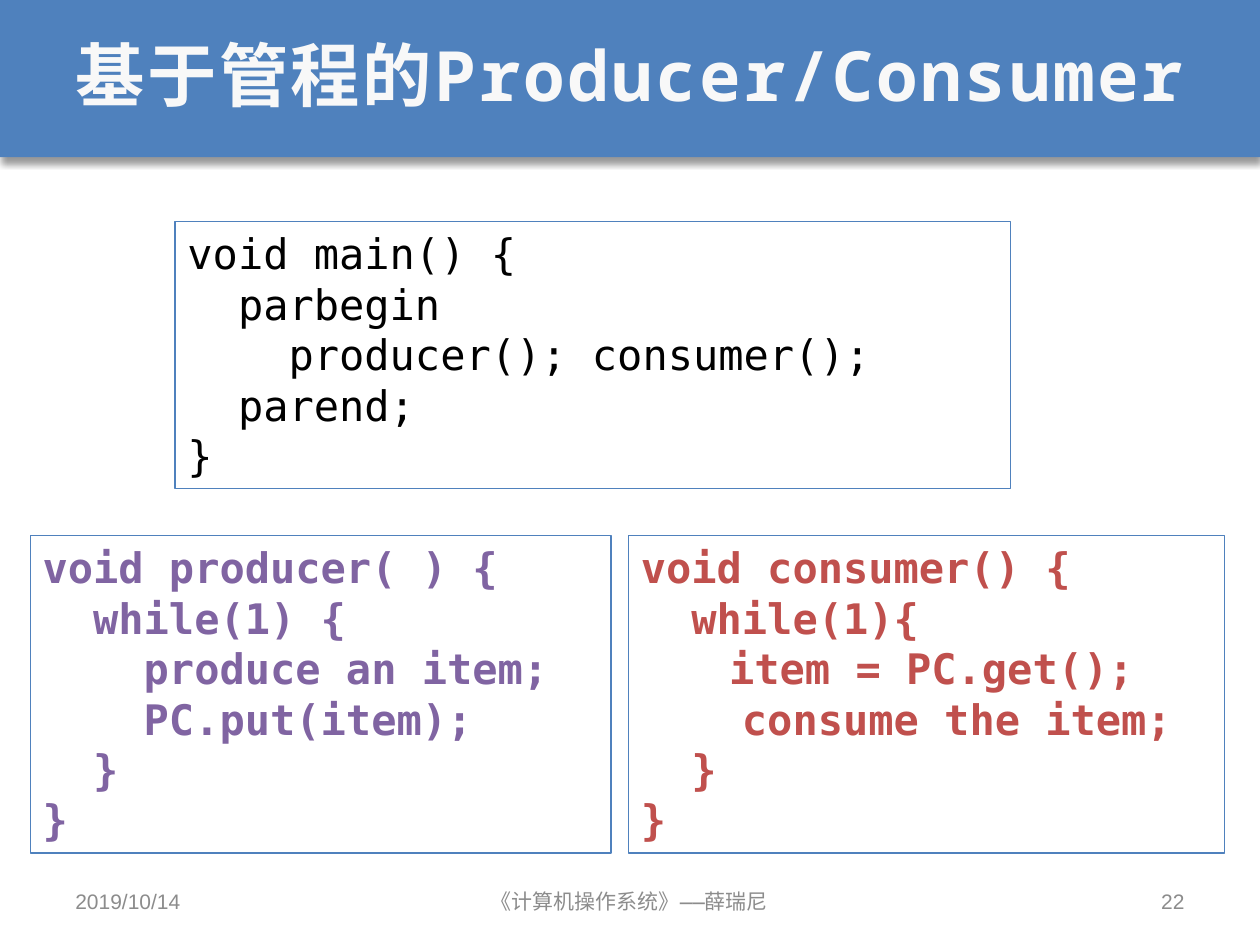
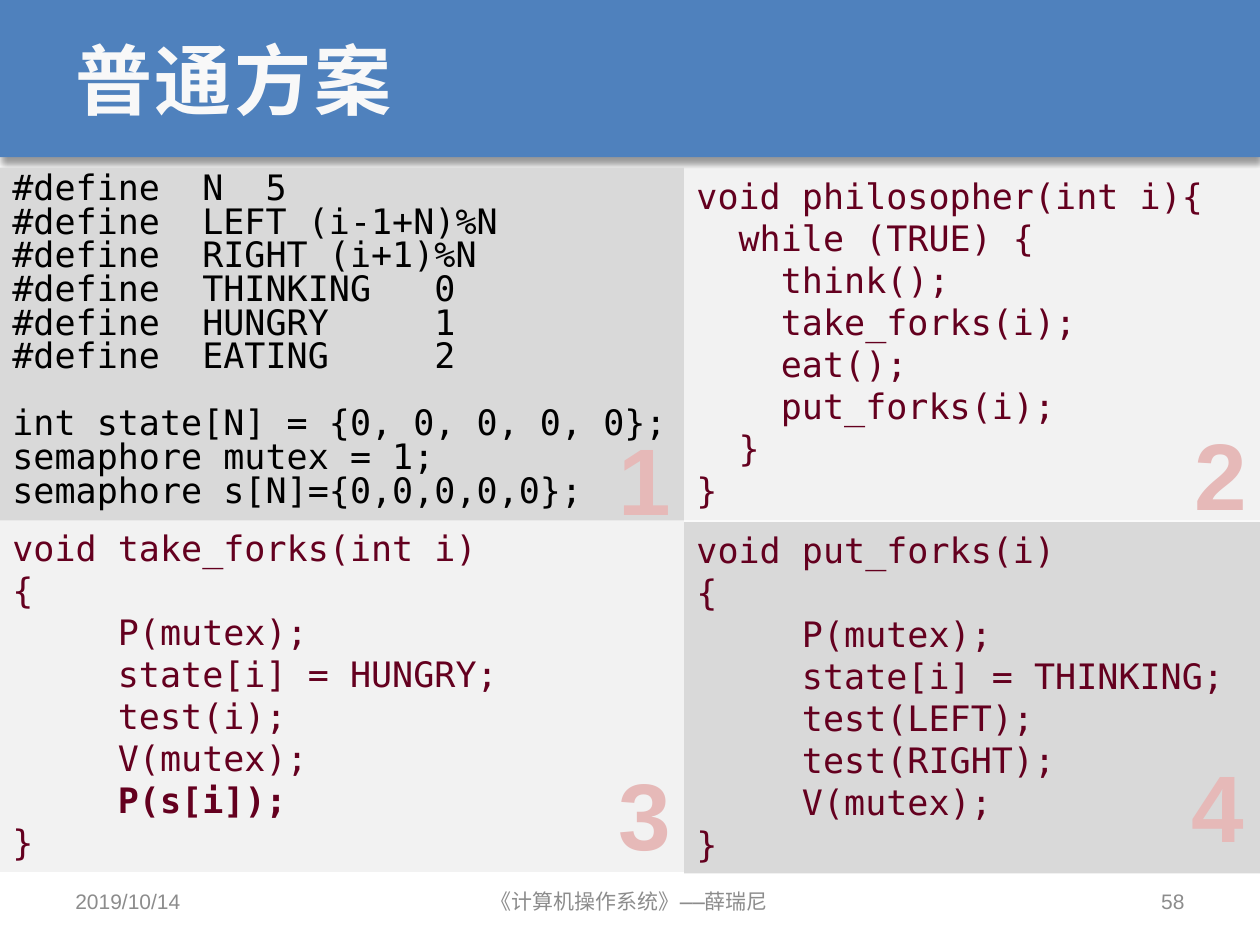
from dataclasses import dataclass

from lxml import etree
from pptx import Presentation
from pptx.dml.color import RGBColor as Rgb
from pptx.enum.shapes import MSO_SHAPE as Shape
from pptx.enum.text import MSO_ANCHOR as Anchor, MSO_AUTO_SIZE as AutoSize, PP_ALIGN as Align
from pptx.oxml import parse_xml
from pptx.oxml.ns import nsdecls, qn
from pptx.util import Cm, Pt


@dataclass(frozen=True)
class Theme:
    blue: str = "4F81BD"
    red: str = "C0504D"
    purple: str = "8064A2"
    maroon: str = "64001F"
    pink: str = "E6B9B8"
    black: str = "000000"
    title_white: str = "F8F8F8"
    footer_gray: str = "8C8C8C"
    light_gray: str = "F2F2F2"
    dark_gray: str = "D9D9D9"
    title_font: str = "Noto Sans Mono"
    code_font: str = "DejaVu Sans Mono"
    plain_font: str = "Arial"
    title_size: float = 44
    long_title_size: float = 39.6
    code_size: float = 24
    panel_size: float = 20
    number_size: float = 54
    footer_size: float = 12


theme = Theme()


def add_text(slide, box, lines, font, size, color, bold=False, align=Align.LEFT,
             anchor=Anchor.TOP, line_spacing=None, wrap=True, tracking=None):
    """Add a text box; each line is a list of (text, bold) runs or a plain string.

    An empty line becomes space before the paragraph that follows it.
    """
    shape = slide.shapes.add_textbox(*(Cm(length) for length in box))
    frame = shape.text_frame
    frame.word_wrap = wrap
    frame.auto_size = AutoSize.NONE
    frame.vertical_anchor = anchor
    paragraph, gap = None, 0
    for line in lines:
        if not line:
            gap += size * 1.2 * (line_spacing or 1)
            continue
        paragraph = frame.add_paragraph() if paragraph is not None else frame.paragraphs[0]
        paragraph.alignment = align
        if line_spacing:
            paragraph.line_spacing = line_spacing
        if gap:
            paragraph.space_before, gap = Pt(round(gap)), 0
        for text, run_bold in [(line, bold)] if isinstance(line, str) else line:
            run = paragraph.add_run()
            run.text = text
            run.font.name, run.font.size, run.font.bold = font, Pt(size), run_bold
            run.font.color.rgb = Rgb.from_string(color)
            properties = run.font._element
            etree.SubElement(properties, qn("a:ea")).set("typeface", font)
            if tracking:
                properties.set("spc", str(tracking))
    return shape


def add_base_slide(presentation, title, title_size, title_spacing, number):
    """Add a blank slide with the title band, title and footer."""
    slide = presentation.slides.add_slide(presentation.slide_layouts[6])
    band = slide.shapes.add_shape(Shape.RECTANGLE, 0, 0, presentation.slide_width, Cm(3.17))
    band.fill.solid()
    band.fill.fore_color.rgb = Rgb.from_string(theme.blue)
    band.line.fill.background()
    band._element.spPr.append(parse_xml(
        f'<a:effectLst {nsdecls("a")}>'
        f'<a:outerShdw blurRad="{Pt(4)}" dist="{Pt(3)}" dir="5400000" rotWithShape="0">'
        f'<a:srgbClr val="{theme.black}"><a:alpha val="40000"/></a:srgbClr>'
        '</a:outerShdw></a:effectLst>'))
    add_text(slide, (1.27, 0, 22.86, 3.17), [title], theme.title_font, title_size,
             theme.title_white, bold=True, anchor=Anchor.MIDDLE,
             line_spacing=title_spacing, tracking=150)
    for left, width, text, font, align in (
        (1.27, 5.92, "2019/10/14", theme.plain_font, Align.LEFT),
        (7.19, 11, "《计算机操作系统》——薛瑞尼", theme.title_font, Align.CENTER),
        (18.21, 5.92, number, theme.plain_font, Align.RIGHT),
    ):
        add_text(slide, (left, 17.65, width, 1.02), [text], font, theme.footer_size,
                 theme.footer_gray, align=align, anchor=Anchor.MIDDLE)
    return slide


presentation = Presentation()
presentation.slide_width, presentation.slide_height = Cm(25.4), Cm(19.05)

# Slide 1: producer and consumer
slide = add_base_slide(presentation, "基于管程的Producer/Consumer",
                       theme.long_title_size, 0.9, "22")

consumer_code = """void consumer() {
  while(1){
 item = PC.get();
    consume the item;
  }
}"""
main_code = """void main() {
  parbegin
    producer(); consumer();
  parend;
}"""
producer_code = """void producer( ) {
  while(1) {
    produce an item;
    PC.put(item);
  }
}"""

for box, code, color, bold in (
    ((12.67, 10.8, 12.01, 6.4), consumer_code, theme.red, True),
    ((3.53, 4.47, 16.84, 5.38), main_code, theme.black, False),
    ((0.61, 10.8, 11.71, 6.4), producer_code, theme.purple, True),
):
    shape = add_text(slide, box, code.split("\n"), theme.code_font, theme.code_size,
                     color, bold)
    shape.line.color.rgb = Rgb.from_string(theme.blue)
    shape.line.width = Pt(0.75)
    # The get() call is a second-level paragraph
    for paragraph in shape.text_frame.paragraphs:
        if "PC.get" in paragraph.text:
            paragraph.level = 1
            paragraph._p.get_or_add_pPr().set("marL", str(Cm(1.27)))

# Slide 2: dining philosophers in four panels
slide = add_base_slide(presentation, "普通方案", theme.title_size, None, "58")

define_code = """#define  N  5
#define  LEFT (i-1+N)%N
#define  RIGHT (i+1)%N
#define  THINKING   0
#define  HUNGRY     1
#define  EATING     2

int state[N] = {0, 0, 0, 0, 0};
semaphore mutex = 1;
semaphore s[N]={0,0,0,0,0};"""
philosopher_code = """void philosopher(int i){
  while (TRUE) {
    think();
    take_forks(i);
    eat();
    put_forks(i);
  }
}"""
take_code = """void take_forks(int i)
{
     P(mutex);
     state[i] = HUNGRY;
     test(i);
     V(mutex);
     P(s[i]);
}"""
put_code = """void put_forks(i)
{
     P(mutex);
     state[i] = THINKING;
     test(LEFT);
     test(RIGHT);
     V(mutex);
}"""

left_width, right_width = 13.79, 11.61
for box, code, color, fill, spacing in (
    ((0, 3.38, left_width, 7.14), define_code, theme.black, theme.dark_gray, 0.8),
    ((left_width, 3.4, right_width, 7.09), philosopher_code, theme.maroon, theme.light_gray, None),
    ((0, 10.49, left_width, 7.09), take_code, theme.maroon, theme.light_gray, None),
    ((left_width, 10.52, right_width, 7.09), put_code, theme.maroon, theme.dark_gray, None),
):
    # The wait on the philosopher's own semaphore is bold
    lines = [[("     ", False), (line.strip(), True)] if "P(s[i])" in line else line
             for line in code.split("\n")]
    shape = add_text(slide, box, lines, theme.code_font, theme.panel_size, color,
                     line_spacing=spacing)
    shape.fill.solid()
    shape.fill.fore_color.rgb = Rgb.from_string(fill)

# Panel numbers
number_places = ((12.22, 8.36), (23.83, 8.26), (12.22, 15.11), (23.77, 14.96))
for number, (left, top) in enumerate(number_places, 1):
    add_text(slide, (left, top, 1.57, 2.57), [str(number)], theme.plain_font,
             theme.number_size, theme.pink, bold=True, align=Align.CENTER, wrap=False)

presentation.save("out.pptx")
